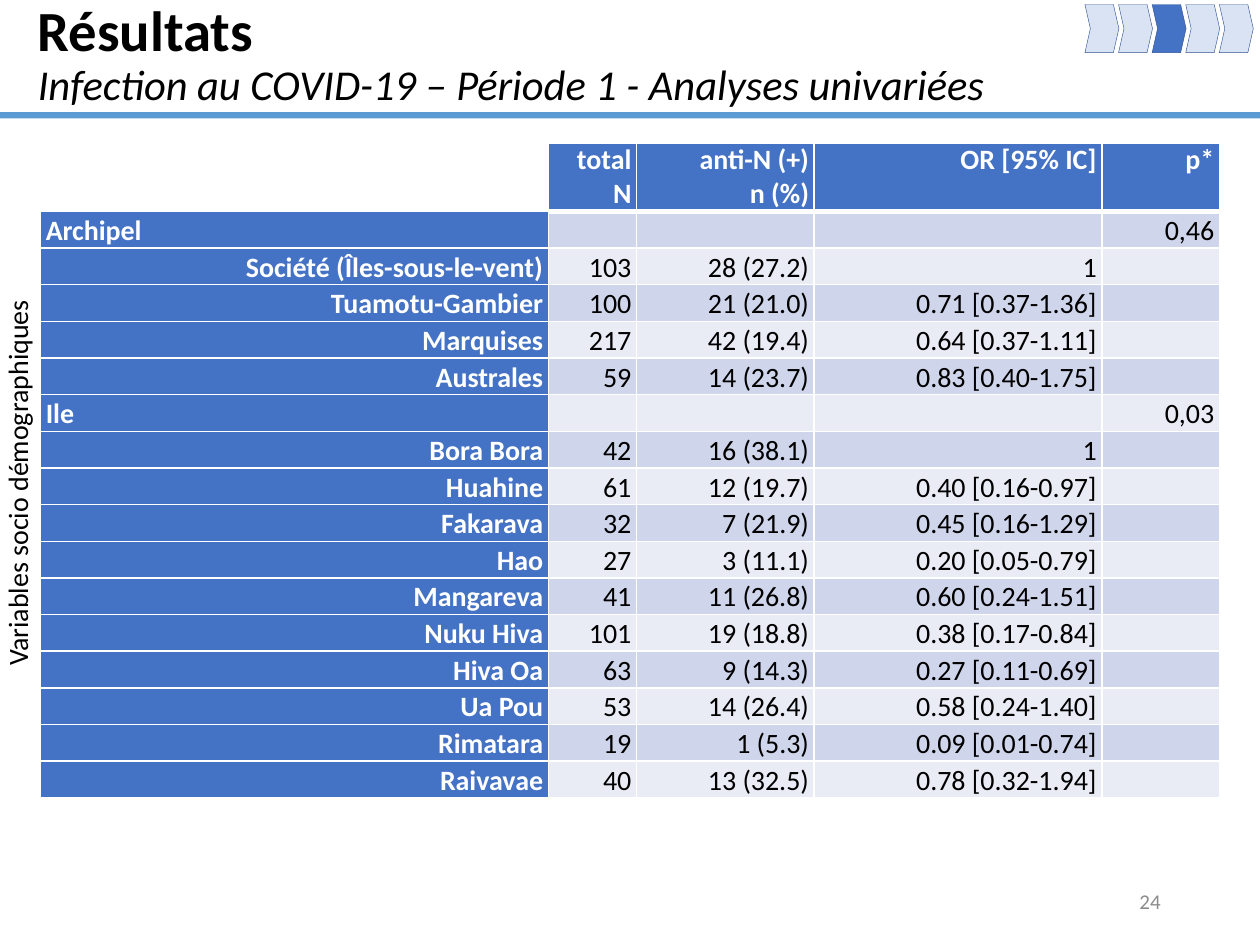
from lxml import etree
from pptx import Presentation
from pptx.dml.color import RGBColor
from pptx.enum import shapes, text
from pptx.oxml import ns
from pptx.util import Pt

COLORS = {
    "black": "000000", "white": "FFFFFF", "grey": "8C8C8C", "rule": "5B9BD5",
    "blue": "4472C4", "pale": "DAE3F3", "outline": "325491",
    "band_dark": "CFD5EA", "band_light": "E9EBF5",
}
RIGHT, LEFT, CENTER = text.PP_ALIGN.RIGHT, text.PP_ALIGN.LEFT, text.PP_ALIGN.CENTER


def color(name):
    return RGBColor.from_string(COLORS[name])


def write(paragraph, words, size, name="black", **formats):
    run = paragraph.add_run()
    run.text = words
    run.font.color.rgb = color(name)
    for key, value in {"name": "Calibri", "size": Pt(size), **formats}.items():
        setattr(run.font, key, value)


prs = Presentation()
prs.slide_width, prs.slide_height = Pt(720), Pt(540)
slide = prs.slides.add_slide(prs.slide_layouts[5])

# Heading
rule = slide.shapes.add_shape(shapes.MSO_SHAPE.RECTANGLE, Pt(0), Pt(64.1), Pt(720), Pt(3.6))
rule.shadow.inherit = False
rule.fill.solid()
rule.fill.fore_color.rgb = color("rule")
rule.line.fill.background()

title = slide.shapes.title
title.left, title.top, title.width, title.height = Pt(14.4), Pt(0), Pt(656), Pt(64.1)
title.text_frame.auto_size = text.MSO_AUTO_SIZE.NONE
title.text_frame.vertical_anchor = text.MSO_ANCHOR.MIDDLE
heading = title.text_frame.paragraphs[0]
heading.alignment = LEFT
heading.line_spacing = 0.9
write(heading, "Résultats", 32.4, bold=True)
heading.add_line_break()
write(heading, "Infection au COVID-19 – Période 1 - Analyses univariées", 24.3,
      bold=False, italic=True)

# Progress chevrons, third step active
progress = slide.shapes.add_group_shape()
for step in range(5):
    chevron = progress.shapes.add_shape(
        shapes.MSO_SHAPE.CHEVRON, Pt(620 + 19.2 * step), Pt(2.6), Pt(19.4), Pt(27.5))
    chevron.adjustments[0] = 0.16
    chevron.shadow.inherit = False
    chevron.fill.solid()
    chevron.fill.fore_color.rgb = color("blue" if step == 2 else "pale")
    chevron.line.color.rgb = color("outline")
    chevron.line.width = Pt(0.25)

# Results table
HEADER = ["", "total\nN", "anti-N (+)\nn (%)", "OR [95% IC]", "p*"]
ROWS = [
    ["Archipel", "", "", "", "0,46"],
    ["Société (Îles-sous-le-vent)", "103", "28 (27.2)", "1", ""],
    ["Tuamotu-Gambier", "100", "21 (21.0)", "0.71 [0.37-1.36]", ""],
    ["Marquises", "217", "42 (19.4)", "0.64 [0.37-1.11]", ""],
    ["Australes", "59", "14 (23.7)", "0.83 [0.40-1.75]", ""],
    ["Ile", "", "", "", "0,03"],
    ["Bora Bora", "42", "16 (38.1)", "1", ""],
    ["Huahine", "61", "12 (19.7)", "0.40 [0.16-0.97]", ""],
    ["Fakarava", "32", "7 (21.9)", "0.45 [0.16-1.29]", ""],
    ["Hao", "27", "3 (11.1)", "0.20 [0.05-0.79]", ""],
    ["Mangareva", "41", "11 (26.8)", "0.60 [0.24-1.51]", ""],
    ["Nuku Hiva", "101", "19 (18.8)", "0.38 [0.17-0.84]", ""],
    ["Hiva Oa", "63", "9 (14.3)", "0.27 [0.11-0.69]", ""],
    ["Ua Pou", "53", "14 (26.4)", "0.58 [0.24-1.40]", ""],
    ["Rimatara", "19", "1 (5.3)", "0.09 [0.01-0.74]", ""],
    ["Raivavae", "40", "13 (32.5)", "0.78 [0.32-1.94]", ""],
]
WIDTHS = [290.2, 50.4, 101.5, 164.4, 67.2]
HEADER_HEIGHT, ROW_HEIGHT = 39, 20.94
CELL_FORMAT = {"margin_left": Pt(3), "margin_right": Pt(3), "margin_top": 0,
               "margin_bottom": 0, "vertical_anchor": text.MSO_ANCHOR.TOP}

results = slide.shapes.add_table(
    len(ROWS) + 1, len(WIDTHS), Pt(23.2), Pt(81.6), Pt(sum(WIDTHS)),
    Pt(HEADER_HEIGHT + ROW_HEIGHT * len(ROWS))).table
for column, width in zip(results.columns, WIDTHS):
    column.width = Pt(width)

for r, values in enumerate([HEADER] + ROWS):
    results.rows[r].height = Pt(ROW_HEIGHT if r else HEADER_HEIGHT)
    is_section = r > 0 and not values[1]
    for c, value in enumerate(values):
        cell = results.cell(r, c)
        for key, setting in CELL_FORMAT.items():
            setattr(cell, key, setting)

        is_heading = r == 0 or c == 0
        for number, words in enumerate(value.split("\n")):
            frame = cell.text_frame
            paragraph = frame.add_paragraph() if number else frame.paragraphs[0]
            paragraph.alignment = LEFT if is_section and c == 0 else RIGHT
            if r:
                paragraph.line_spacing = 1.07
                paragraph.space_after = Pt(8)
            if words:
                write(paragraph, words, 16, "white" if is_heading else "black",
                      bold=is_heading)
            else:
                etree.SubElement(paragraph._p, ns.qn("a:endParaRPr"), sz="1600")

        if r == c == 0:
            cell.fill.background()
            continue
        properties = cell._tc.get_or_add_tcPr()
        for side in "LRTB":
            thick = (r, side) in [(0, "B"), (1, "T")] and c > 0
            border = etree.SubElement(properties, ns.qn("a:ln" + side),
                                      w=str(Pt(3 if thick else 1)))
            paint = etree.SubElement(border, ns.qn("a:solidFill"))
            etree.SubElement(paint, ns.qn("a:srgbClr"), val=COLORS["white"])
        cell.fill.solid()
        band = "band_dark" if r % 2 else "band_light"
        cell.fill.fore_color.rgb = color("blue" if is_heading else band)

# Side label and page number
LABELS = [
    ("24", 12, "grey", CENTER * 0 + RIGHT, (508.3, 500.4, 162, 28.8), 0),
    ("Variables socio démographiques", 16, "black", CENTER, (-148.3, 262.8, 316, 26.6), 270),
]
for words, size, name, alignment, box, rotation in LABELS:
    label = slide.shapes.add_textbox(*map(Pt, box))
    label.rotation = rotation
    label.text_frame.word_wrap = True
    label.text_frame.vertical_anchor = text.MSO_ANCHOR.MIDDLE
    label.text_frame.paragraphs[0].alignment = alignment
    write(label.text_frame.paragraphs[0], words, size, name)

prs.save("out.pptx")
